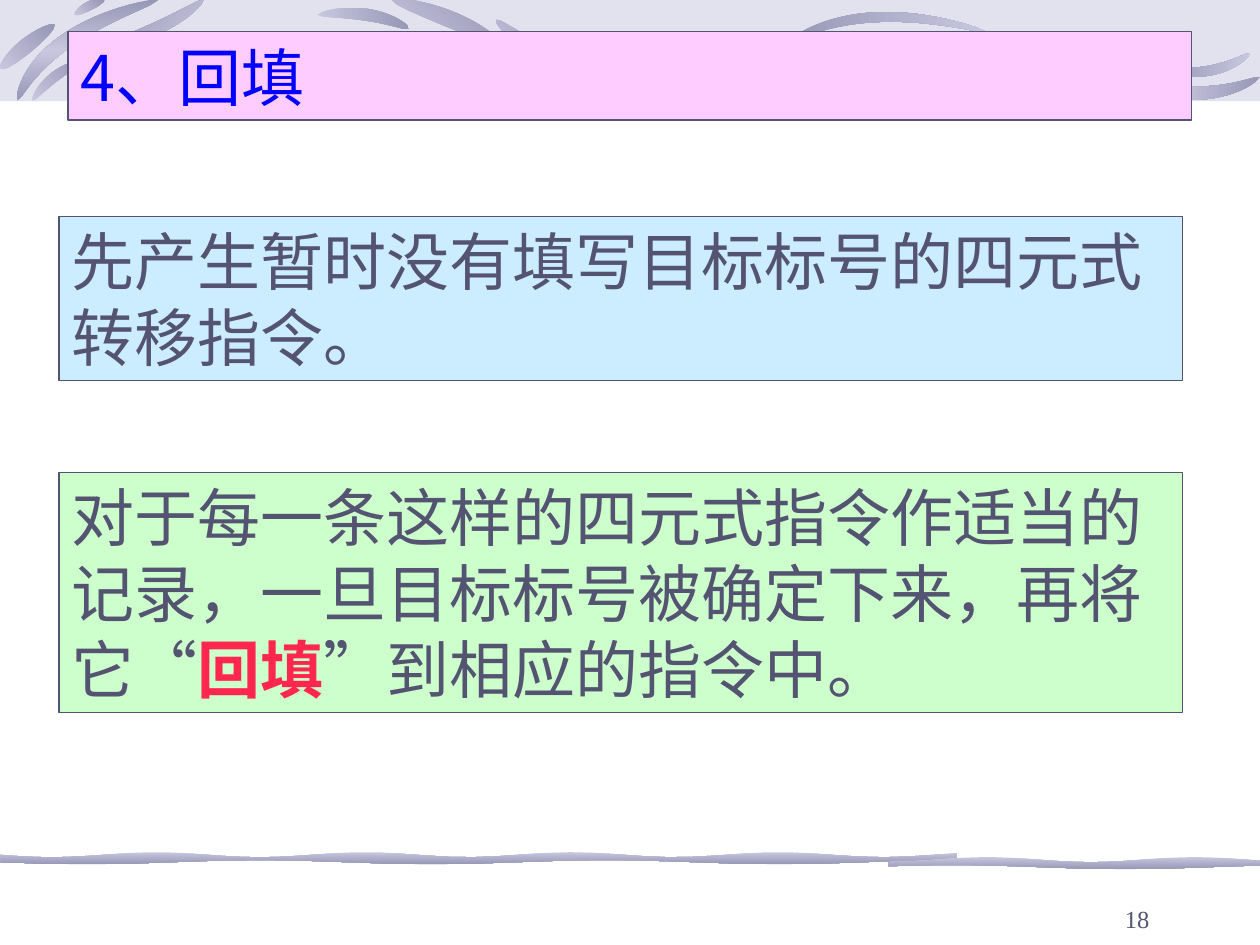
from copy import deepcopy
from dataclasses import dataclass
from math import hypot, pi, sin

from lxml.etree import SubElement
from pptx import Presentation
from pptx.dml.color import RGBColor as Rgb
from pptx.enum.shapes import MSO_SHAPE as Shape
from pptx.enum.text import MSO_ANCHOR as Anchor, MSO_AUTO_SIZE as AutoSize, PP_ALIGN as Align
from pptx.oxml.ns import qn
from pptx.util import Cm, Pt


@dataclass(frozen=True)
class Theme:
    ink: Rgb = Rgb.from_string("545472")
    title: Rgb = Rgb.from_string("0000FF")
    accent: Rgb = Rgb.from_string("FF2750")
    pink: Rgb = Rgb.from_string("FFCCFF")
    blue: Rgb = Rgb.from_string("CCECFF")
    green: Rgb = Rgb.from_string("CCFFCC")
    light: Rgb = Rgb.from_string("C7C7DF")
    dark: Rgb = Rgb.from_string("9797B7")
    sans: str = "Noto Sans CJK JP"
    serif: str = "Times New Roman"
    body_size: Pt = Pt(36)
    line_height: Pt = Pt(43.2)
    number_size: Pt = Pt(14)


theme = Theme()
PAGE_WIDTH = 25.4
STEPS = 24


def brush_outline(start, middle, end, width):
    """Outline of a tapered stroke whose centre line bends through the middle point."""
    upper, lower = [], []
    for step in range(STEPS + 1):
        t = step / STEPS
        x, y = (a * (1 - t) * (1 - 2 * t) + 4 * b * t * (1 - t) + c * t * (2 * t - 1)
                for a, b, c in zip(start, middle, end))
        dx, dy = (a * (4 * t - 3) + 4 * b * (1 - 2 * t) + c * (4 * t - 1)
                  for a, b, c in zip(start, middle, end))
        half = width / 2 * max(0, sin(pi * t)) ** 0.5 / hypot(dx, dy)
        upper.append((x + dy * half, y - dx * half))
        lower.append((x - dy * half, y + dx * half))
    return [(min(max(x, 0), PAGE_WIDTH), max(y, 0)) for x, y in upper + lower[::-1]]


def add_stroke(points, angle, colours):
    """Draw an outline given in centimetres, with a clockwise gradient."""
    fine = [(x * 1000, y * 1000) for x, y in points]
    builder = page.shapes.build_freeform(*fine[0], scale=Cm(1) / 1000)
    builder.add_line_segments(fine[1:], close=True)
    stroke = builder.convert_to_shape()
    stroke.shadow.inherit = False
    stroke.line.fill.background()
    fill = stroke.fill
    fill.gradient()
    fill.gradient_angle = -angle % 360
    if len(colours) == 3:
        first = fill._xPr.find(".//" + qn("a:gs"))
        centre = deepcopy(first)
        centre.set("pos", "50000")
        first.addnext(centre)
    for stop, colour in zip(fill.gradient_stops, colours):
        stop.color.rgb = colour


deck = Presentation()
deck.slide_width, deck.slide_height = Cm(PAGE_WIDTH), Cm(19.05)
page = deck.slides.add_slide(deck.slide_layouts[5])

# Pale band along the top edge
band = page.shapes.add_shape(Shape.RECTANGLE, 0, 0, deck.slide_width, Cm(2.04))
band.shadow.inherit = False
band.line.fill.background()
band.fill.solid()
band.fill.fore_color.rgb = theme.light
SubElement(band.fill._xPr.find(".//" + qn("a:srgbClr")), qn("a:alpha"), val="50000")

# Brush strokes: gradient angle, colours, start, middle, end, width
rising = (theme.light, theme.dark)
falling = (theme.dark, theme.light)
ridge = (theme.dark, theme.light, theme.dark)
strokes = [
    (315, rising, (0, 1.4), (0.5, 0.95), (1.1, 0.5), 0.3),
    (90, ridge, (0.35, 2.03), (1.3, 0.85), (3.2, 0), 0.3),
    (315, rising, (0.65, 2.03), (1.1, 1.55), (1.67, 1.24), 0.2),
    (315, rising, (1.5, 0.3), (1.8, 0.12), (2.1, 0), 0.18),
    (45, falling, (2.15, 0.9), (3.2, 0.55), (4.1, 0), 0.25),
    (0, rising, (6.4, 0.3), (7.4, 0.3), (8.25, 0.58), 0.24),
    (315, rising, (7.9, 0), (9.1, 0.4), (10.1, 0.9), 0.33),
    (315, rising, (10, 0.4), (10.7, 0.9), (11.7, 1.3), 0.25),
    (0, falling, (15.8, 0.9), (17.6, 0.35), (19.9, 0.65), 0.2),
    (0, rising, (16.3, 0.98), (17.1, 0.77), (17.9, 0.75), 0.18),
    (0, ridge, (21.9, 1.45), (23.9, 1.88), (25.4, 1.55), 0.27),
    (0, falling, (23.45, 1.4), (24.4, 1.42), (25.2, 1.07), 0.2),
]
for angle, colours, *line, width in strokes:
    add_stroke(brush_outline(*line, width), angle, colours)

# Wavy ribbon above the slide number, in three overlapping pieces
for left, right, level in ((0, 9, 17.3), (7.6, 19.3, 17.3), (17.9, PAGE_WIDTH, 17.4)):
    across = [left + (right - left) * step / STEPS for step in range(STEPS + 1)]
    crest = [(x, level - 0.07 + 0.05 * sin(x * 1.5)) for x in across]
    trough = [(x, level + 0.08 + 0.04 * sin(x * 0.9)) for x in across]
    add_stroke(crest + trough[::-1], 90, rising)

# Slide number
number = page.shapes.add_textbox(Cm(18.14), Cm(17.68), Cm(5.28), Cm(1.27)).text_frame
number.word_wrap = True
number.vertical_anchor = Anchor.BOTTOM
para = number.paragraphs[0]
para.text = "18"
para.alignment = Align.RIGHT
para.font.name, para.font.size = theme.serif, theme.number_size
para.font.color.rgb = theme.ink

# Title and the two text panels; a span is its text, font, colour and weight
title = page.shapes.title
page.shapes._spTree.append(title._element)  # in front of the brush strokes
panels = [
    (title, 1.37, 0.64, 1.78, theme.pink, [("4、回填", theme.sans, theme.title, False)]),
    (None, 1.19, 4.37, 3.3, theme.blue,
     [("先产生暂时没有填写目标标号的四元式转移指令。", theme.sans, theme.ink, False)]),
    (None, 1.19, 9.53, 4.83, theme.green,
     [("对于每一条这样的四元式指令作适当的记录，一旦目标标号被确定下来，再将它",
       theme.sans, theme.ink, False),
      ("“", theme.serif, theme.ink, False),
      ("回填", theme.sans, theme.accent, True),
      ("”", theme.serif, theme.ink, False),
      ("到相应的指令中。", theme.sans, theme.ink, False)]),
]
for box, left, top, height, colour, spans in panels:
    place = Cm(left), Cm(top), Cm(22.65), Cm(height)
    if box is None:
        box = page.shapes.add_shape(Shape.RECTANGLE, *place)
        box.shadow.inherit = False
    box.left, box.top, box.width, box.height = place
    box.fill.solid()
    box.fill.fore_color.rgb = colour
    box.line.color.rgb, box.line.width = theme.ink, Pt(0.75)
    frame = box.text_frame
    frame.word_wrap, frame.auto_size = True, AutoSize.NONE
    frame.vertical_anchor = Anchor.TOP
    para = frame.paragraphs[0]
    para.alignment, para.line_spacing = Align.LEFT, theme.line_height
    para.font.size = theme.body_size
    for text, font, ink, bold in spans:
        span = para.add_run()
        span.text = text
        span.font.name, span.font.bold = font, bold
        span.font.color.rgb = ink
        SubElement(span.font._rPr, qn("a:ea"), typeface=theme.sans)

deck.save("out.pptx")
